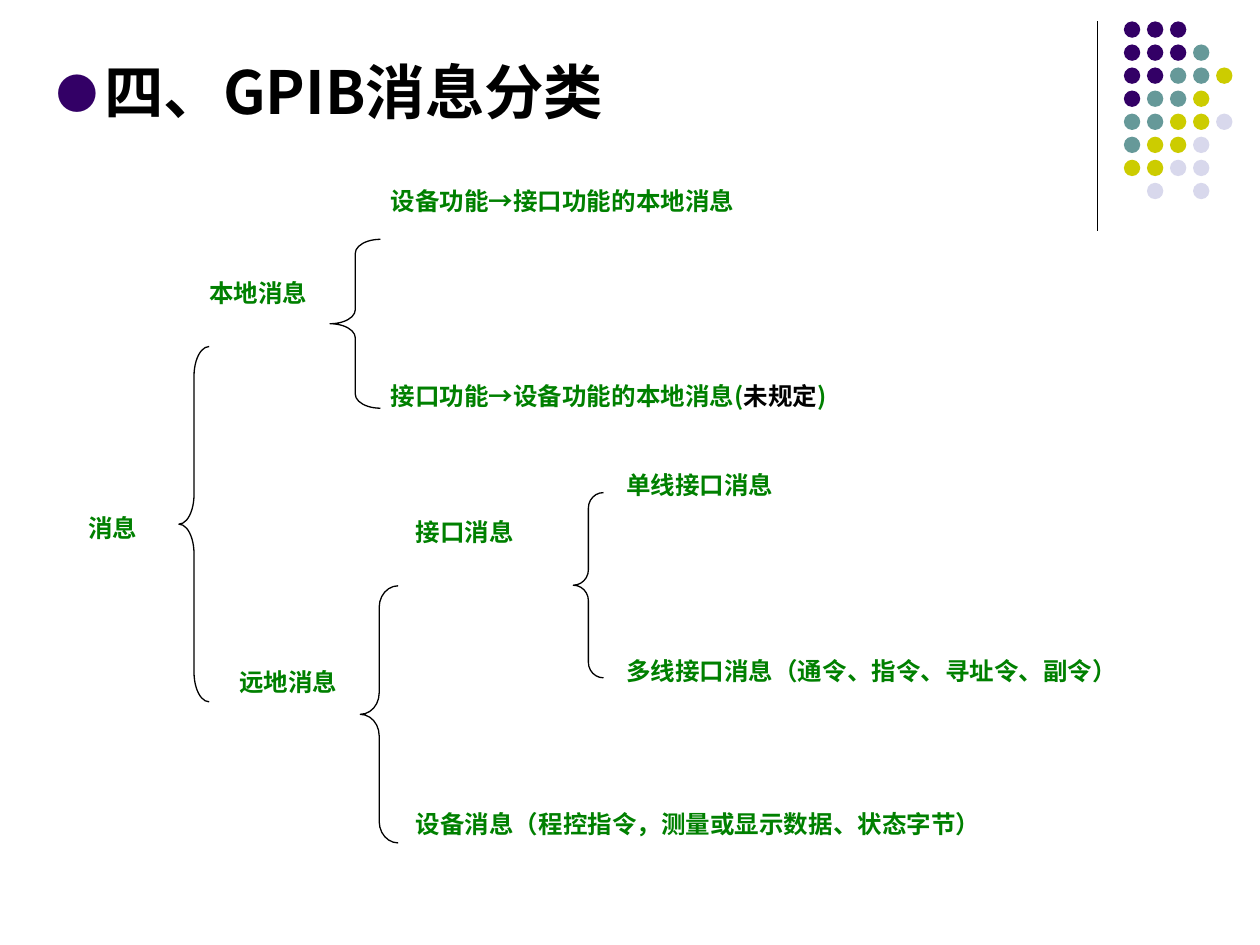
"""Build a slide that classifies GPIB messages as a tree of braces."""
import lxml.etree
import pptx
import pptx.dml.color
import pptx.enum.shapes
import pptx.enum.text
import pptx.oxml
import pptx.oxml.ns
import pptx.util

BLACK = pptx.dml.color.RGBColor(0x00, 0x00, 0x00)
GREEN = pptx.dml.color.RGBColor(0x00, 0x80, 0x00)
PURPLE = pptx.dml.color.RGBColor(0x33, 0x00, 0x66)
TEAL = pptx.dml.color.RGBColor(0x66, 0x99, 0x99)
YELLOW = pptx.dml.color.RGBColor(0xCC, 0xCC, 0x00)
LAVENDER = pptx.dml.color.RGBColor(0xD8, 0xD8, 0xEC)
FONT = "Noto Sans CJK SC"

presentation = pptx.Presentation()
presentation.slide_width = pptx.util.Inches(10)
presentation.slide_height = pptx.util.Inches(7.5)
COLUMN = presentation.slide_width / 100
ROW = presentation.slide_height / 75
slide = presentation.slides.add_slide(presentation.slide_layouts[5])


def place(left, top, width, height):
    """Turn grid columns and rows into slide lengths."""
    return int(left * COLUMN), int(top * ROW), int(width * COLUMN), int(height * ROW)


def format_run(run, size, color):
    """Give a run its bold font, size and colour."""
    run.font.name = FONT
    run.font.size = pptx.util.Pt(size)
    run.font.bold = True
    run.font.color.rgb = color
    east_asian = lxml.etree.SubElement(run.font._element, pptx.oxml.ns.qn("a:ea"))
    east_asian.set("typeface", FONT)


divider = slide.shapes.add_connector(
    pptx.enum.shapes.MSO_CONNECTOR.STRAIGHT, *place(87.1, 1.7, 87.1, 18.3))
divider.line.color.rgb = BLACK
divider.line.width = pptx.util.Pt(0.75)
lxml.etree.SubElement(divider._element.spPr, pptx.oxml.ns.qn("a:effectLst"))

DOT_COLORS = {"P": PURPLE, "T": TEAL, "Y": YELLOW, "L": LAVENDER}
DOT_ROWS = ["PPP", "PPPT", "PPTTY", "PTTY", "TTYYL", "TYYL", "YYLL", " L L"]
DOT_PITCH = 1.83
for row, dots in enumerate(DOT_ROWS):
    for column, key in enumerate(dots):
        if key in DOT_COLORS:
            dot = slide.shapes.add_shape(
                pptx.enum.shapes.MSO_SHAPE.OVAL,
                *place(89.2 + column * DOT_PITCH, 1.7 + row * DOT_PITCH, 1.3, 1.3))
            dot.shadow.inherit = False
            dot.fill.solid()
            dot.fill.fore_color.rgb = DOT_COLORS[key]
            dot.line.fill.background()

title = slide.shapes.title
title.left, title.top, title.width, title.height = place(3.5, 3.6, 55.9, 9.4)
title.text_frame.text = "四、GPIB消息分类"
title.text_frame.word_wrap = True
title.text_frame.auto_size = pptx.enum.text.MSO_AUTO_SIZE.NONE
title.text_frame.vertical_anchor = pptx.enum.text.MSO_ANCHOR.TOP
paragraph = title.text_frame.paragraphs[0]
paragraph.alignment = pptx.enum.text.PP_ALIGN.LEFT
paragraph.line_spacing = pptx.util.Pt(43)
paragraph.space_before = pptx.util.Pt(0)
properties = paragraph._p.get_or_add_pPr()
properties.set("marL", str(pptx.util.Inches(0.38)))
properties.set("indent", str(-pptx.util.Inches(0.38)))
bullet_color = lxml.etree.SubElement(properties, pptx.oxml.ns.qn("a:buClr"))
lxml.etree.SubElement(bullet_color, pptx.oxml.ns.qn("a:srgbClr")).set("val", str(PURPLE))
for tag, name, value in [("a:buSzPct", "val", "70000"),
                         ("a:buFont", "typeface", FONT),
                         ("a:buChar", "char", "●")]:
    lxml.etree.SubElement(properties, pptx.oxml.ns.qn(tag)).set(name, value)
format_run(paragraph.runs[0], 34, BLACK)

BRACES = [
    (14.2, 27.5, 2.4, 28.2),
    (26.2, 19.0, 4.0, 13.4),
    (28.6, 46.5, 3.0, 20.4),
    (45.5, 39.1, 2.4, 14.7),
]
for left, top, width, height in BRACES:
    brace = slide.shapes.add_shape(
        pptx.enum.shapes.MSO_SHAPE.LEFT_BRACE, *place(left, top, width, height))
    brace.adjustments[0] = height / 12 / width
    brace.shadow.inherit = False
    brace.fill.background()
    brace.line.color.rgb = BLACK
    brace.line.width = pptx.util.Pt(0.75)

LABELS = [
    (7.0, 40.7, 7.2, [("消息", GREEN)]),
    (16.6, 22.0, 12.0, [("本地消息", GREEN)]),
    (19.0, 52.9, 12.0, [("远地消息", GREEN)]),
    (31.0, 14.7, 35.9, [("设备功能→接口功能的本地消息", GREEN)]),
    (31.0, 30.2, 35.9, [("接口功能→设备功能的本地消息(", GREEN), ("未规定", BLACK), (")", GREEN)]),
    (33.0, 41.0, 12.0, [("接口消息", GREEN)]),
    (33.0, 64.2, 57.5, [("设备消息（程控指令，测量或显示数据、状态字节）", GREEN)]),
    (49.7, 37.3, 19.1, [("单线接口消息", GREEN)]),
    (49.7, 52.0, 50.3, [("多线接口消息（通令、指令、寻址令、副令）", GREEN)]),
]
for left, top, width, parts in LABELS:
    label = slide.shapes.add_textbox(*place(left, top, width, 8))
    text_frame = label.text_frame
    text_frame.word_wrap = True
    text_frame.margin_left = text_frame.margin_right = 0
    text_frame.margin_top = text_frame.margin_bottom = 0
    paragraph = text_frame.paragraphs[0]
    paragraph.alignment = pptx.enum.text.PP_ALIGN.JUSTIFY
    paragraph.line_spacing = pptx.util.Pt(17)
    for text, color in parts:
        run = paragraph.add_run()
        run.text = text
        format_run(run, 14, color)

presentation.save("out.pptx")
